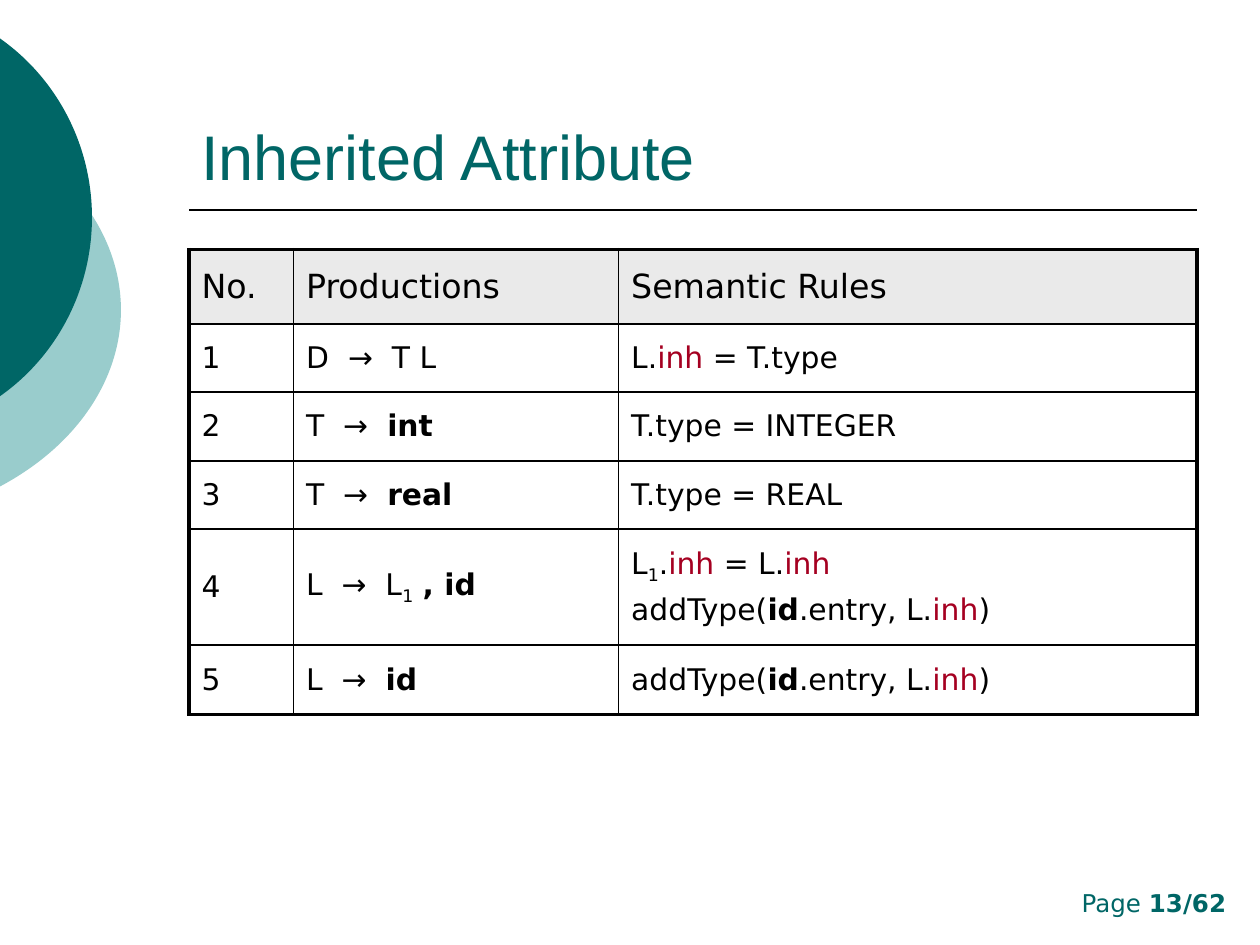
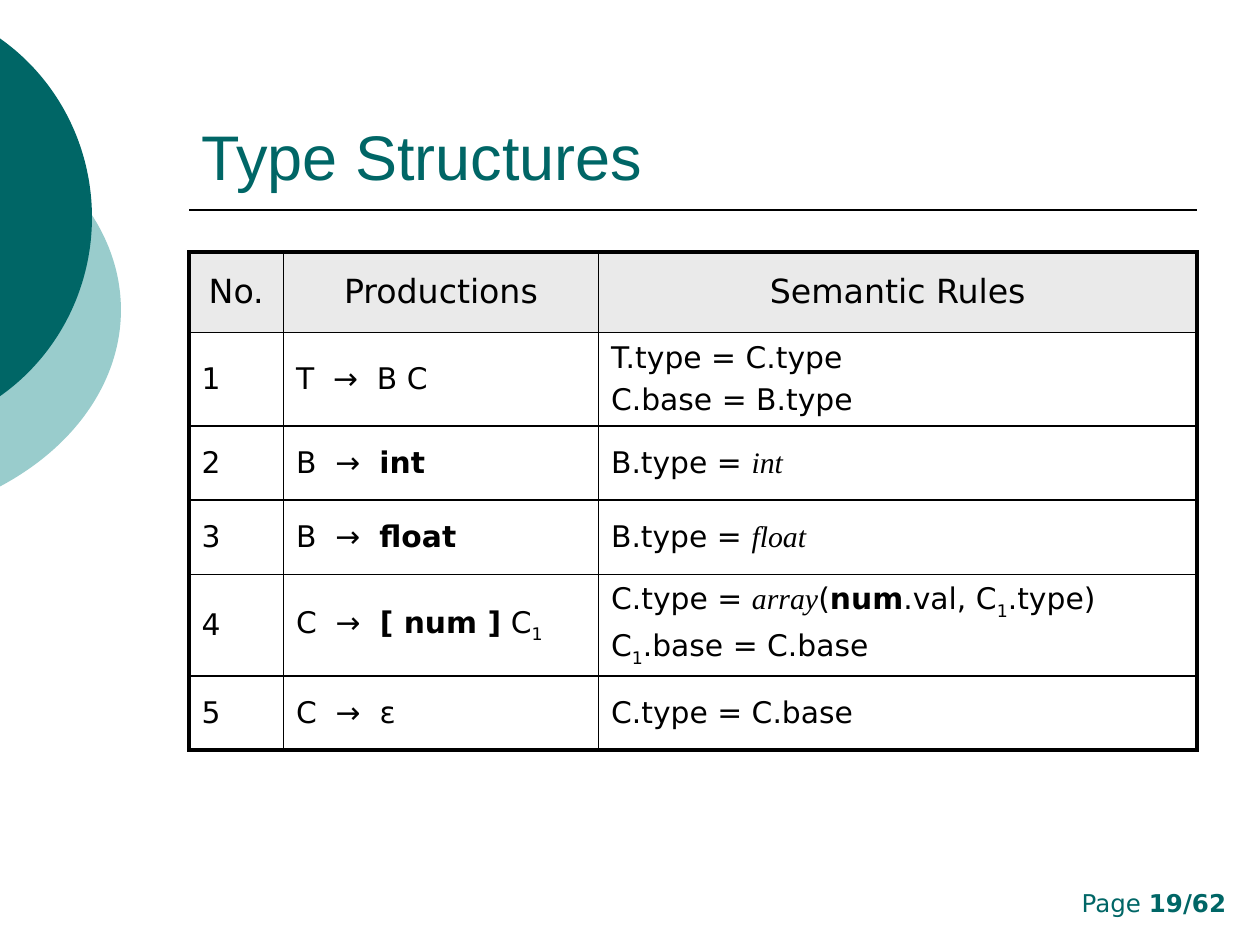
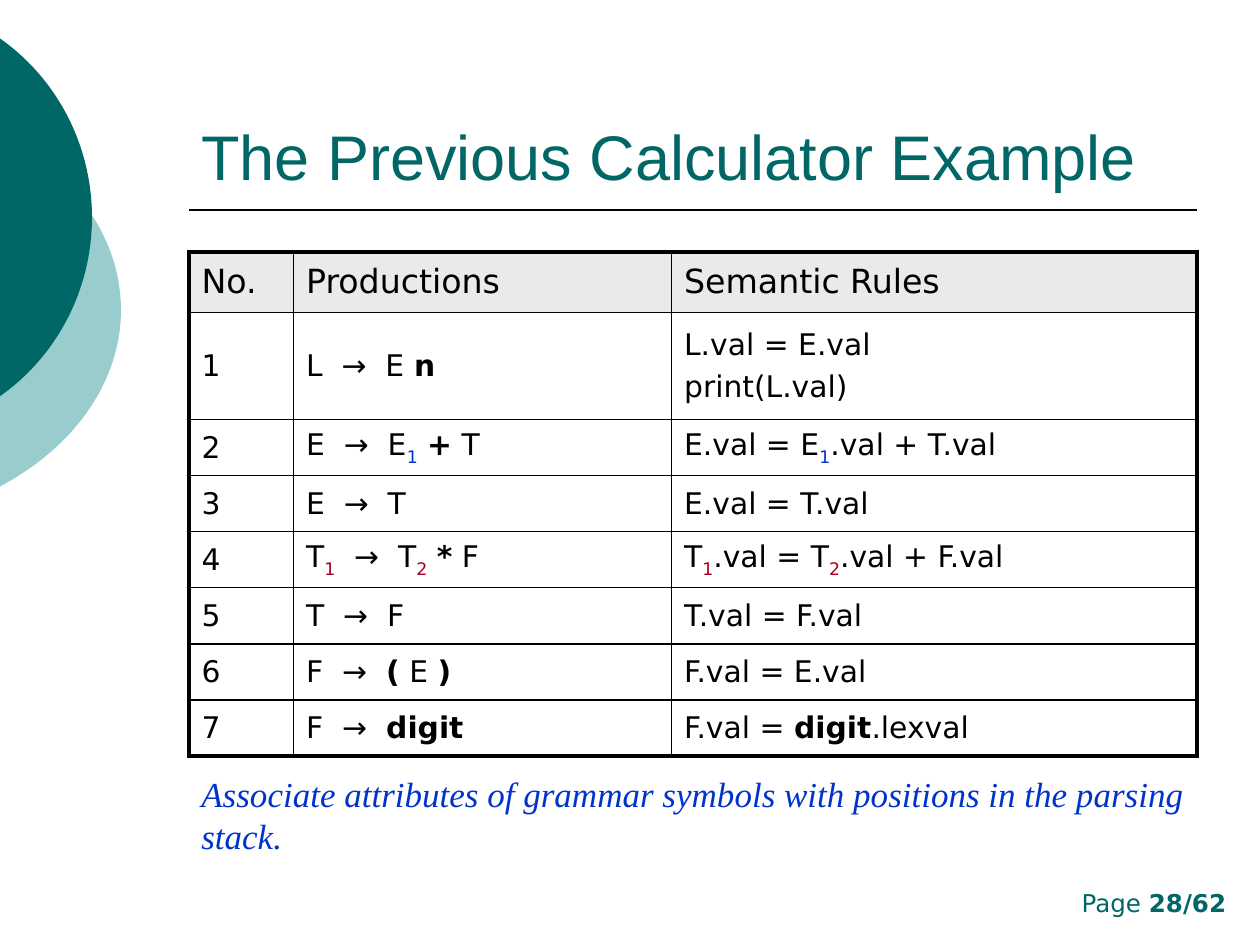
from dataclasses import dataclass, field

import pptx
import pptx.dml.color
import pptx.enum.shapes
import pptx.enum.text
import pptx.oxml
import pptx.oxml.ns
import pptx.util
from lxml import etree

Inches = pptx.util.Inches
Pt = pptx.util.Pt
RGBColor = pptx.dml.color.RGBColor
ALIGN = pptx.enum.text.PP_ALIGN
ANCHOR = pptx.enum.text.MSO_ANCHOR
qn = pptx.oxml.ns.qn

TEAL = RGBColor(0x00, 0x66, 0x66)
LIGHT_TEAL = RGBColor(0x99, 0xCC, 0xCC)
BLACK = RGBColor(0x00, 0x00, 0x00)
HEADER_GRAY = RGBColor(0xEA, 0xEA, 0xEA)
RED = RGBColor(0xA5, 0x00, 0x21)
BLUE = RGBColor(0x00, 0x33, 0xCC)

TITLE_FONT = "Arial"
BODY_FONT = "DejaVu Sans"
SERIF_FONT = "Times New Roman"

LEFT, WIDTH = 1.5, 8
OUTER_BORDER, INNER_BORDER = 2.25, 1
HEADINGS = ["No.", "Productions", "Semantic Rules"]
PAGE_COUNT = 62


@dataclass
class Run:
    """A piece of text whose format differs from the rest of its line."""
    text: str
    style: dict = field(default_factory=dict)


def bold(text):
    return Run(text, {"bold": True})


def serif(text):
    return Run(text, {"font": SERIF_FONT, "italic": True})


def subscript(text, color=BLACK):
    return Run(text, {"color": color, "subscript": True})


INH = Run("inh", {"color": RED})
ADD_TYPE = ["addType(", bold("id"), ".entry, L.", INH, ")"]


def add_run(paragraph, text, size, font=BODY_FONT, color=BLACK,
            bold=False, italic=False, subscript=False):
    run = paragraph.add_run()
    run.text = text
    run.font.size = Pt(size)
    run.font.name = font
    run.font.color.rgb = color
    run.font.bold = bold
    run.font.italic = italic
    if subscript:
        run._r.get_or_add_rPr().set("baseline", "-25000")


def write_text(frame, content, align=ALIGN.LEFT, **style):
    """Fill a frame; content is a tuple of lines or one line, a line is a string or a list of runs."""
    lines = content if isinstance(content, tuple) else (content,)
    for index, line in enumerate(lines):
        paragraph = frame.add_paragraph() if index else frame.paragraphs[0]
        paragraph.alignment = align
        if index:
            paragraph.space_before = Pt(style["size"] / 4)
        for piece in line if isinstance(line, list) else [line]:
            run = piece if isinstance(piece, Run) else Run(piece)
            add_run(paragraph, run.text, **{**style, **run.style})


def set_borders(cell, widths):
    """Draw black cell borders; widths are points for left, right, top, bottom."""
    properties = cell._tc.get_or_add_tcPr()
    for side, width in zip("LRTB", widths):
        line = etree.SubElement(properties, qn(f"a:ln{side}"), w=str(Pt(width)))
        fill = etree.SubElement(line, qn("a:solidFill"))
        etree.SubElement(fill, qn("a:srgbClr"), val=str(BLACK))


class Deck:
    def __init__(self):
        self.presentation = pptx.Presentation()
        self.presentation.slide_width = Inches(10)
        self.presentation.slide_height = Inches(7.5)
        self.slide = None

    def add_slide(self, title, page):
        self.slide = self.presentation.slides.add_slide(self.presentation.slide_layouts[6])
        self.ellipse(-3.54, 0.75, 4.5, 3.42, LIGHT_TEAL)
        self.ellipse(-2.65, 0, 3.38, 3.45, TEAL)
        self.rule(5 / 3)
        self.text(7.58, 7, 2.25, 0.33, ["Page ", bold(f"{page}/{PAGE_COUNT}")],
                  align=ALIGN.RIGHT, size=14, color=TEAL)
        self.text(LEFT, 0.33, WIDTH, 1.25, title, anchor=ANCHOR.BOTTOM,
                  size=36, font=TITLE_FONT, color=TEAL)

    def ellipse(self, left, top, width, height, color):
        shape = self.slide.shapes.add_shape(
            pptx.enum.shapes.MSO_SHAPE.OVAL,
            Inches(left), Inches(top), Inches(width), Inches(height))
        shape.shadow.inherit = False
        shape.fill.solid()
        shape.fill.fore_color.rgb = color
        shape.line.fill.background()

    def rule(self, top):
        connector = self.slide.shapes.add_connector(
            pptx.enum.shapes.MSO_CONNECTOR.STRAIGHT,
            Inches(LEFT), Inches(top), Inches(LEFT + WIDTH), Inches(top))
        connector.line.color.rgb = BLACK
        connector.line.width = Pt(1)
        etree.SubElement(connector._element.spPr, qn("a:effectLst"))

    def text(self, left, top, width, height, content, anchor=ANCHOR.TOP, **style):
        box = self.slide.shapes.add_textbox(
            Inches(left), Inches(top), Inches(width), Inches(height))
        box.text_frame.word_wrap = True
        box.text_frame.vertical_anchor = anchor
        write_text(box.text_frame, content, **style)

    def rules_table(self, top, column_widths, row_heights, rules, heading_align=ALIGN.LEFT):
        """Draw the numbered table of (production, semantic rule) pairs."""
        rows = [HEADINGS] + [[str(number), *rule] for number, rule in enumerate(rules, 1)]
        table = self.slide.shapes.add_table(
            len(rows), len(HEADINGS), Inches(LEFT), Inches(top),
            Inches(WIDTH), Inches(sum(row_heights))).table
        table.first_row = table.horz_banding = False
        for column, width in zip(table.columns, column_widths):
            column.width = Inches(width)
        for row, height in zip(table.rows, row_heights):
            row.height = Inches(height)
        last_row, last_column = len(rows) - 1, len(HEADINGS) - 1
        for row, contents in enumerate(rows):
            for column, content in enumerate(contents):
                cell = table.cell(row, column)
                on_edge = [column == 0, column == last_column, row == 0, row == last_row]
                set_borders(cell, [OUTER_BORDER if edge else INNER_BORDER for edge in on_edge])
                cell.vertical_anchor = ANCHOR.MIDDLE
                if row == 0:
                    cell.fill.solid()
                    cell.fill.fore_color.rgb = HEADER_GRAY
                    write_text(cell.text_frame, content, align=heading_align, size=19)
                else:
                    cell.fill.background()
                    write_text(cell.text_frame, content, size=17)


def inherited_attribute(deck):
    deck.add_slide("Inherited Attribute", 13)
    deck.rules_table(1.98, [0.83, 2.58, 4.59], [0.59, 0.54, 0.55, 0.54, 0.92, 0.55], [
        ("D  →  T L", ["L.", INH, " = T.type"]),
        (["T  →  ", bold("int")], "T.type = INTEGER"),
        (["T  →  ", bold("real")], "T.type = REAL"),
        (["L  →  L", subscript("1"), " ", bold(", id")],
         (["L", subscript("1"), ".", INH, " = L.", INH], ADD_TYPE)),
        (["L  →  ", bold("id")], ADD_TYPE),
    ])


def type_structures(deck):
    deck.add_slide("Type Structures", 19)
    deck.rules_table(2, [0.75, 2.5, 4.75], [0.64, 0.74, 0.59, 0.59, 0.74, 0.59], [
        ("T  →  B C", ("T.type = C.type", "C.base = B.type")),
        (["B  →  ", bold("int")], ["B.type = ", serif("int")]),
        (["B  →  ", bold("float")], ["B.type = ", serif("float")]),
        (["C  →  ", bold("[ num ]"), " C", subscript("1")],
         (["C.type = ", serif("array"), "(", bold("num"), ".val, C", subscript("1"), ".type)"],
          ["C", subscript("1"), ".base = C.base"])),
        ("C  →  ε", "C.type = C.base"),
    ], heading_align=ALIGN.CENTER)


def calculator_example(deck):
    deck.add_slide("The Previous Calculator Example", 28)
    tall_rows = [0.48, 0.85]
    rule_height = (4 - sum(tall_rows)) / 6
    deck.rules_table(2, [0.83, 3, 4.17], tall_rows + [rule_height] * 6, [
        (["L  →  E ", bold("n")], ("L.val = E.val", "print(L.val)")),
        (["E  →  E", subscript("1", BLUE), " ", bold("+"), " T"],
         ["E.val = E", subscript("1", BLUE), ".val + T.val"]),
        ("E  →  T", "E.val = T.val"),
        (["T", subscript("1", RED), "  →  T", subscript("2", RED), " ", bold("*"), " F"],
         ["T", subscript("1", RED), ".val = T", subscript("2", RED), ".val + F.val"]),
        ("T  →  F", "T.val = F.val"),
        (["F  →  ", bold("("), " E ", bold(")")], "F.val = E.val"),
        (["F  →  ", bold("digit")], ["F.val = ", bold("digit"), ".lexval"]),
    ])
    deck.text(LEFT, 6.08, WIDTH, 0.43,
              "Associate attributes of grammar symbols with positions in the parsing stack.",
              size=20, font=SERIF_FONT, color=BLUE, italic=True)


def main():
    deck = Deck()
    inherited_attribute(deck)
    type_structures(deck)
    calculator_example(deck)
    deck.presentation.save("out.pptx")


if __name__ == "__main__":
    main()
